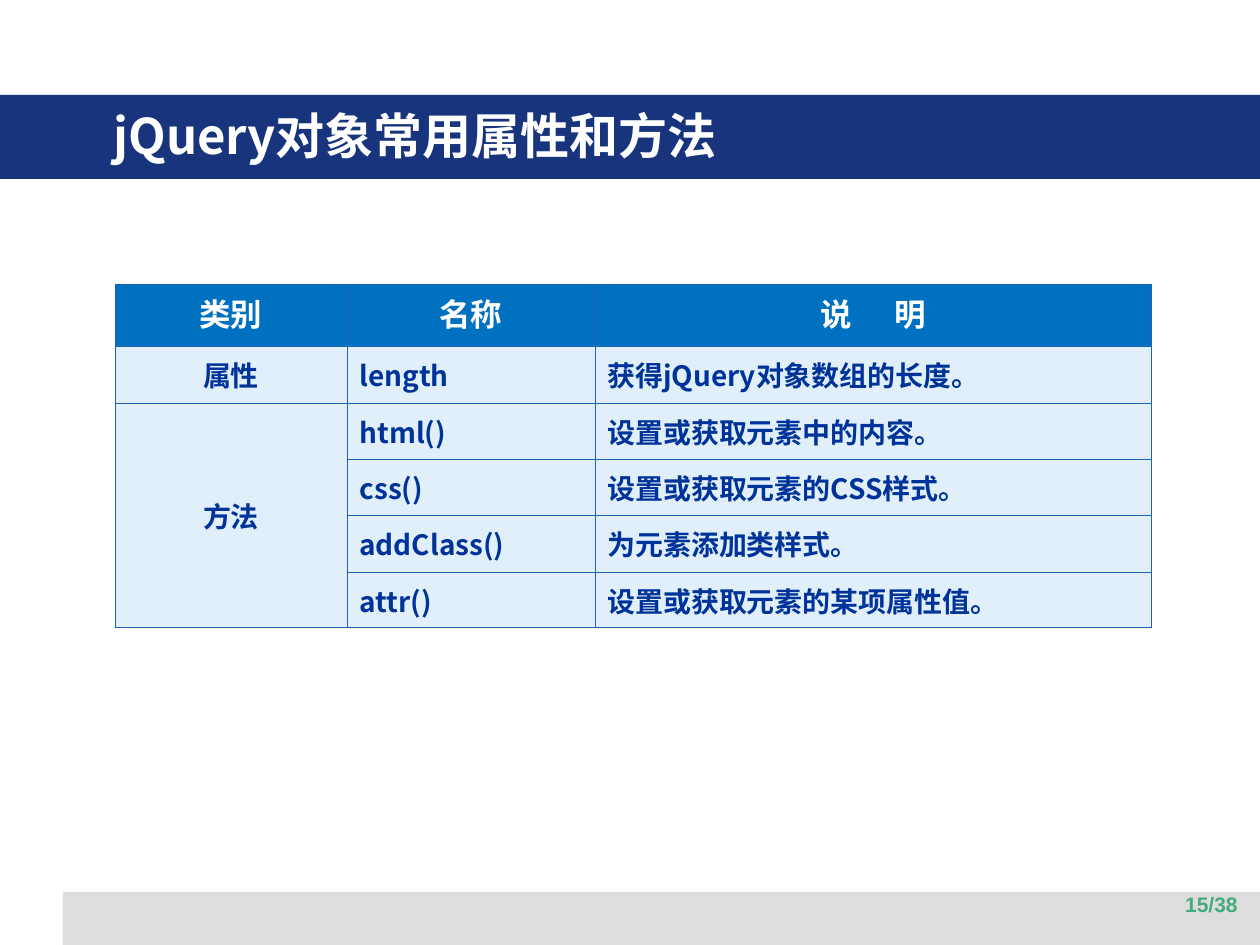
import pptx
import pptx.util
import pptx.dml.color
import pptx.enum.shapes
import pptx.enum.text
import pptx.oxml
import pptx.oxml.ns
import lxml.etree

theme = dict(
    cjk="Noto Sans CJK SC", sans="Arial",
    head=28, top=18, cell=16, page=12, line=0.45,
    white="FFFFFF", navy="17347D", grey="DDDDDD", blue="0070C0",
    pale="C3E0F5", ink="003399", edge="2062B4", green="45AB7D",
)
rgb = pptx.dml.color.RGBColor.from_string
qn = pptx.oxml.ns.qn
align = pptx.enum.text.PP_ALIGN
mid = pptx.enum.text.MSO_ANCHOR.MIDDLE


def px(*nums):
    return [round(n * 914400 / 126) for n in nums]


def write(para, text, size, tint, face="cjk"):
    run = para.add_run()
    run.text = text
    font = run.font
    font.size = pptx.util.Pt(theme[size])
    font.bold = True
    font.name = theme[face]
    font.color.rgb = rgb(theme[tint])
    east = lxml.etree.SubElement(run._r.get_or_add_rPr(), qn("a:ea"))
    east.set("typeface", theme[face])
    return run


deck = pptx.Presentation()
deck.slide_width, deck.slide_height = px(1260, 945)
slide = deck.slides.add_slide(deck.slide_layouts[5])
shapes = slide.shapes

# Footer strip and title band
for box, tint in (((63, 892, 1197, 53), "grey"), ((0, 95, 1260, 84), "navy")):
    bar = shapes.add_shape(pptx.enum.shapes.MSO_SHAPE.RECTANGLE, *px(*box))
    bar.shadow.inherit = False
    bar.fill.solid()
    bar.fill.fore_color.rgb = rgb(theme[tint])
    bar.line.fill.background()

# Title, lifted above the band
title = shapes.title
title.left, title.top, title.width, title.height = px(101, 73, 1134, 123)
title.text_frame.vertical_anchor = mid
para = title.text_frame.paragraphs[0]
para.alignment = align.LEFT
write(para, "jQuery对象常用属性和方法", "head", "white")
shapes._spTree.append(title._element)

# Table grid
rows = [
    ("类别", "名称", "说 明"),
    ("属性", "length", "获得jQuery对象数组的长度。"),
    ("方法", "html()", "设置或获取元素中的内容。"),
    ("", "css()", "设置或获取元素的CSS样式。"),
    ("", "addClass()", "为元素添加类样式。"),
    ("", "attr()", "设置或获取元素的某项属性值。"),
]
wide = px(232, 248, 556)
high = px(62, 57, 56, 56, 57, 56)
left, top = px(115, 284)
grid = shapes.add_table(len(rows), len(wide), left, top, sum(wide), sum(high)).table
grid.horz_banding = False
for col, size in zip(grid.columns, wide):
    col.width = size
for row, size in zip(grid.rows, high):
    row.height = size
grid.cell(2, 0).merge(grid.cell(5, 0))

# Table cells
for r, row in enumerate(rows):
    for c, text in enumerate(row):
        cell = grid.cell(r, c)
        first = r == 0
        cell.fill.solid()
        cell.fill.fore_color.rgb = rgb(theme["blue" if first else "pale"])
        props = cell._tc.get_or_add_tcPr()
        if not first:
            cell.vertical_anchor = mid
            clear = lxml.etree.SubElement(props.find(".//" + qn("a:srgbClr")), qn("a:alpha"))
            clear.set("val", "50000")
        for i, side in enumerate("LRTB"):
            props.insert(i, pptx.oxml.parse_xml(
                f'<a:ln{side} {pptx.oxml.ns.nsdecls("a")} w="{pptx.util.Pt(theme["line"])}">'
                f'<a:solidFill><a:srgbClr val="{theme["edge"]}"/></a:solidFill></a:ln{side}>'))
        if not text:
            continue
        para = cell.text_frame.paragraphs[0]
        para.alignment = align.CENTER if first or c == 0 else align.LEFT
        look = ("top", "white") if first else ("cell", "ink")
        # A tracked space sets the wide gap in the last heading
        for part in text.partition(" "):
            if part:
                run = write(para, part, *look)
                if part == " ":
                    run._r.rPr.set("spc", "2000")

# Page number
page = shapes.add_textbox(*px(956, 885, 294, 50))
page.text_frame.word_wrap = True
para = page.text_frame.paragraphs[0]
para.alignment = align.RIGHT
write(para, "15/38", "page", "green", "sans")

deck.save("out.pptx")
